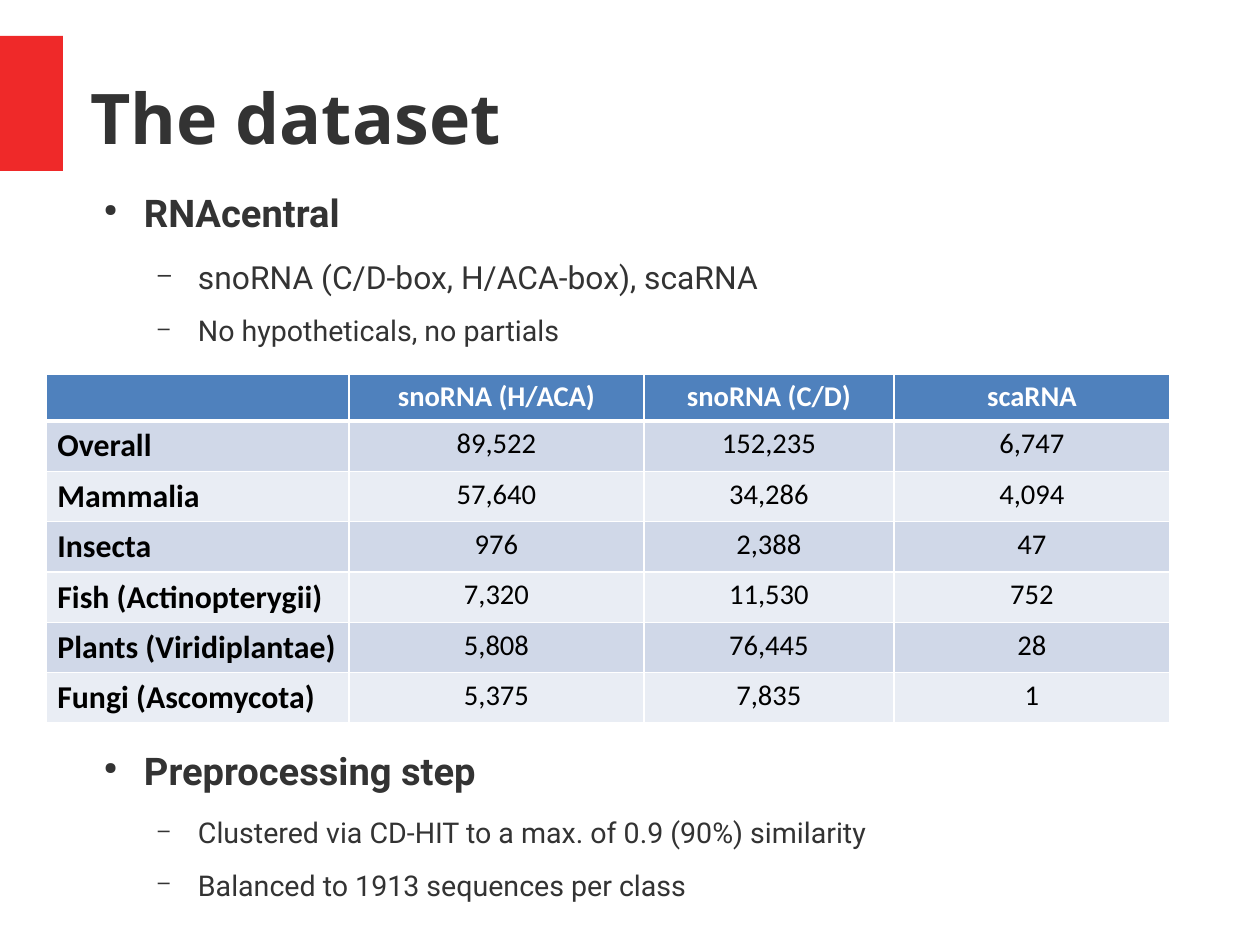
from dataclasses import dataclass

from lxml.etree import SubElement
from pptx import Presentation
from pptx.dml.color import RGBColor
from pptx.enum.shapes import MSO_SHAPE
from pptx.enum.text import MSO_ANCHOR, MSO_AUTO_SIZE, PP_ALIGN
from pptx.oxml.ns import qn
from pptx.util import Emu, Pt


@dataclass(frozen=True)
class Theme:
    accent: str = "EF2929"
    ink: str = "333333"
    white: str = "FFFFFF"
    black: str = "000000"
    header: str = "4F81BD"
    bands: tuple = ("D0D8E8", "E9EDF4")
    title_font: str = "Open Sans"
    body_font: str = "Roboto"
    table_font: str = "Calibri"
    title_size: int = 44
    topic_size: int = 24
    large_size: int = 20
    normal_size: int = 18


THEME = Theme()


def px(length):
    return Emu(length * 8000)


def write(paragraph, text, *, font, size, color, bold=False,
          align=PP_ALIGN.LEFT, after=0):
    paragraph.alignment = align
    paragraph.space_before = Pt(0)
    paragraph.space_after = Pt(after)
    run = paragraph.add_run()
    run.text = text
    run.font.name = font
    run.font.size = Pt(size)
    run.font.bold = bold
    run.font.color.rgb = RGBColor.from_string(color)


def add_bullet(paragraph, symbol, percent, indent):
    properties = paragraph._p.get_or_add_pPr()
    properties.set("marL", str(px(indent)))
    properties.set("indent", str(px(-40)))
    bullet_color = SubElement(properties, qn("a:buClr"))
    SubElement(bullet_color, qn("a:srgbClr"), val=THEME.ink)
    SubElement(properties, qn("a:buSzPct"), val=str(percent * 1000))
    SubElement(properties, qn("a:buChar"), char=symbol)


def add_borders(cell, bottom):
    properties = cell._tc.get_or_add_tcPr()
    widths = {"a:lnL": 1, "a:lnR": 1, "a:lnT": 1, "a:lnB": bottom}
    for side, width in widths.items():
        line = SubElement(properties, qn(side), w=str(Pt(width)))
        fill = SubElement(line, qn("a:solidFill"))
        SubElement(fill, qn("a:srgbClr"), val=THEME.white)


class SlideBuilder:
    def __init__(self, slide, theme):
        self.slide = slide
        self.theme = theme

    def block(self, left, top, width, height):
        marker = self.slide.shapes.add_shape(
            MSO_SHAPE.RECTANGLE, px(left), px(top), px(width), px(height))
        marker.shadow.inherit = False
        marker.fill.solid()
        marker.fill.fore_color.rgb = RGBColor.from_string(self.theme.accent)
        marker.line.fill.background()

    def frame(self, box, anchor):
        frame = box.text_frame
        frame.word_wrap = True
        frame.auto_size = MSO_AUTO_SIZE.NONE
        frame.vertical_anchor = anchor
        frame.margin_left = frame.margin_right = 0
        frame.margin_top = frame.margin_bottom = 0
        return frame

    def title(self, text, left, top, width, height):
        heading = self.slide.shapes.title
        heading.left, heading.top = px(left), px(top)
        heading.width, heading.height = px(width), px(height)
        frame = self.frame(heading, MSO_ANCHOR.MIDDLE)
        write(frame.paragraphs[0], text, font=self.theme.title_font,
              size=self.theme.title_size, color=self.theme.ink, bold=True)

    def topic(self, name, details, left, top, width, height):
        box = self.slide.shapes.add_textbox(
            px(left), px(top), px(width), px(height))
        frame = self.frame(box, MSO_ANCHOR.TOP)
        style = dict(font=self.theme.body_font, color=self.theme.ink)
        heading = frame.paragraphs[0]
        add_bullet(heading, "●", 45, 54)
        write(heading, name, size=self.theme.topic_size, bold=True,
              after=14.2, **style)
        for text, size in details:
            detail = frame.add_paragraph()
            add_bullet(detail, "–", 75, 108)
            write(detail, text, size=size, after=11.3, **style)

    def table(self, rows, left, top, widths, heights):
        theme = self.theme
        table = self.slide.shapes.add_table(
            len(rows), len(widths), px(left), px(top),
            px(sum(widths)), px(sum(heights))).table
        table.horz_banding = False
        for column, width in zip(table.columns, widths):
            column.width = px(width)
        for r, (row, height) in enumerate(zip(rows, heights)):
            table.rows[r].height = px(height)
            is_header = r == 0
            fill = theme.header if is_header else theme.bands[(r - 1) % 2]
            for c, text in enumerate(row):
                cell = table.cell(r, c)
                add_borders(cell, 3 if is_header else 1)
                cell.fill.solid()
                cell.fill.fore_color.rgb = RGBColor.from_string(fill)
                if not text:
                    continue
                is_label = c == 0
                write(cell.text_frame.paragraphs[0], text,
                      font=theme.table_font,
                      size=theme.large_size if is_label else theme.normal_size,
                      color=theme.white if is_header else theme.black,
                      bold=is_header or is_label,
                      align=PP_ALIGN.LEFT if is_label else PP_ALIGN.CENTER)


COUNTS = [
    ("", "snoRNA (H/ACA)", "snoRNA (C/D)", "scaRNA"),
    ("Overall", "89,522", "152,235", "6,747"),
    ("Mammalia", "57,640", "34,286", "4,094"),
    ("Insecta", "976", "2,388", "47"),
    ("Fish (Actinopterygii)", "7,320", "11,530", "752"),
    ("Plants (Viridiplantae)", "5,808", "76,445", "28"),
    ("Fungi (Ascomycota)", "5,375", "7,835", "1"),
]


def main():
    deck = Presentation()
    deck.slide_width, deck.slide_height = px(1260), px(945)
    builder = SlideBuilder(
        deck.slides.add_slide(deck.slide_layouts[5]), THEME)

    # Heading with its red marker
    builder.block(0, 36, 63, 135)
    builder.title("The dataset", 90, 38, 1107, 157)

    # Data source
    builder.topic("RNAcentral", [
        ("snoRNA (C/D-box, H/ACA-box), scaRNA", THEME.large_size),
        ("No hypotheticals, no partials", THEME.normal_size),
    ], 90, 189, 1080, 175)

    # Sequence counts per group
    builder.table(COUNTS, 46, 374, [303, 295, 250, 276], [47] + [50] * 6)

    # Preprocessing
    builder.topic("Preprocessing step", [
        ("Clustered via CD-HIT to a max. of 0.9 (90%) similarity",
         THEME.normal_size),
        ("Balanced to 1913 sequences per class", THEME.normal_size),
    ], 90, 747, 1080, 175)

    deck.save("out.pptx")


if __name__ == "__main__":
    main()
